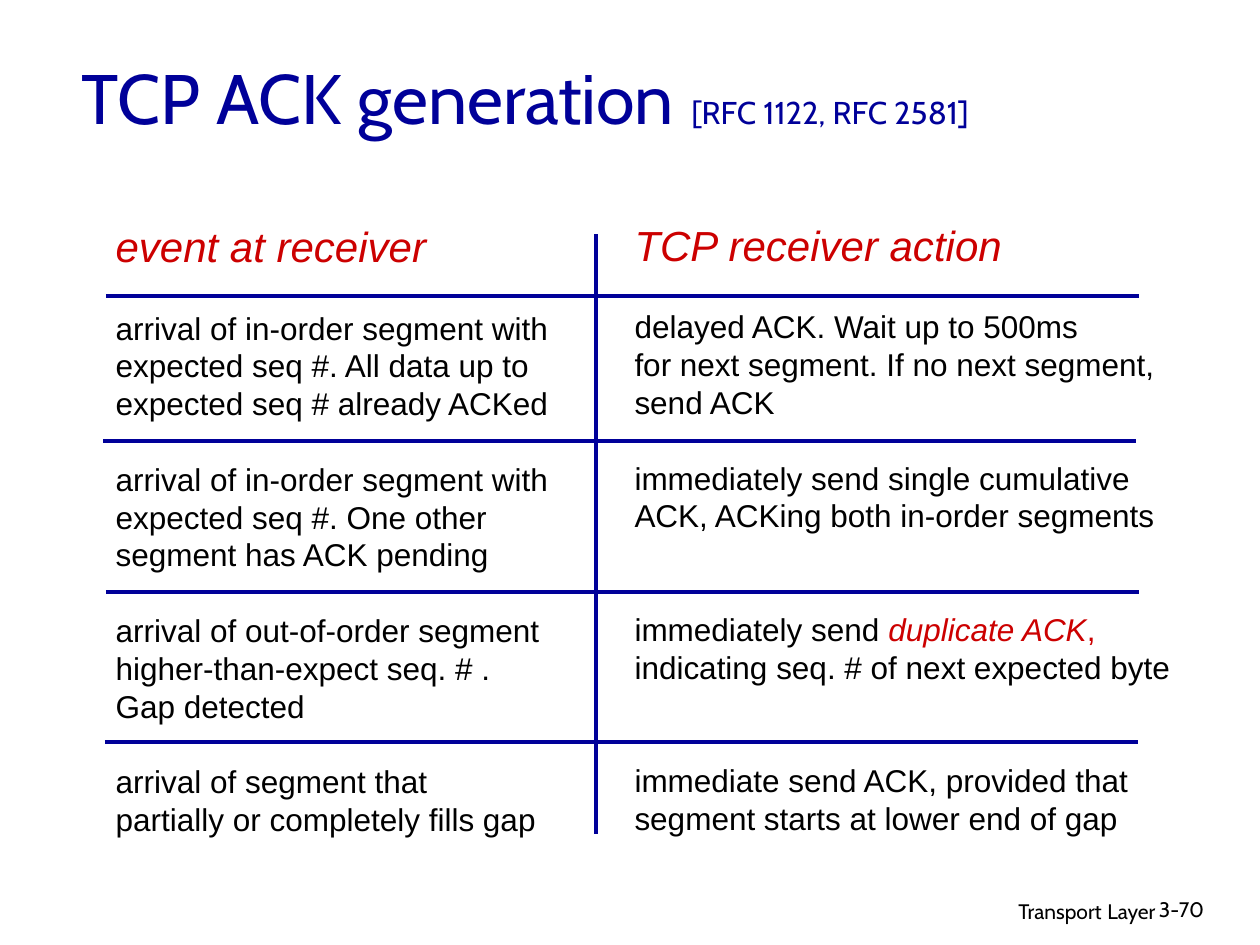
from pptx import Presentation
from pptx.dml.color import RGBColor as RGB
from pptx.enum.shapes import MSO_CONNECTOR as Conn
from pptx.enum.text import MSO_ANCHOR as Anchor, MSO_AUTO_SIZE as Fit, PP_ALIGN as Align
from pptx.oxml.ns import qn
from pptx.util import Pt
from lxml import etree

NAVY = RGB(0, 0, 0x99)
RED = RGB(0xCC, 0, 0)
BLACK = RGB(0, 0, 0)
SANS = "Arial"
CABIN = "Cabin"
HEAD, BODY = 24, 18
LEAD = 1.2
SLOT = 4

EVENTS = [
    ["arrival of in-order segment with", "expected seq #. All data up to",
     "expected seq # already ACKed"],
    ["arrival of in-order segment with", "expected seq #. One other",
     "segment has ACK pending"],
    ["arrival of out-of-order segment", "higher-than-expect seq. # .",
     "Gap detected"],
    ["arrival of segment that", "partially or completely fills gap"],
]
ACTIONS = [
    ["delayed ACK. Wait up to 500ms", "for next segment. If no next segment,",
     "send ACK"],
    ["immediately send single cumulative", "ACK, ACKing both in-order segments"],
    [[("immediately send ", BLACK, False), ("duplicate ACK", RED, True),
      (",", RED, False)],
     "indicating seq. # of next expected byte"],
    ["immediate send ACK, provided that", "segment starts at lower end of gap"],
]


def add_run(para, text, size, font, color, slant=False):
    run = para.add_run()
    run.text = text
    run.font.size = Pt(size)
    run.font.name = font
    run.font.color.rgb = color
    run.font.italic = slant


def add_title(slide):
    title = slide.shapes.title
    title.left, title.top, title.width, title.height = Pt(39.6), Pt(27.4), Pt(612), Pt(52.6)
    frame = title.text_frame
    frame.auto_size = Fit.NONE
    frame.word_wrap = True
    frame.vertical_anchor = Anchor.MIDDLE
    para = frame.paragraphs[0]
    para.alignment = Align.LEFT
    add_run(para, "TCP ACK generation", 40, CABIN, NAVY)
    add_run(para, " ", 44, CABIN, NAVY)
    add_run(para, "[RFC 1122, RFC 2581]", 18, CABIN, NAVY)


def add_box(slide, left, top, width, height, wrap=True):
    frame = slide.shapes.add_textbox(Pt(left), Pt(top), Pt(width), Pt(height)).text_frame
    frame.word_wrap = wrap
    return frame


def add_column(slide, left, top, width, head, blocks):
    frame = add_box(slide, left, top, width, 393.8, False)
    para = frame.paragraphs[0]
    para.line_spacing = Pt(HEAD * LEAD)
    add_run(para, head, HEAD, SANS, RED, True)
    blanks = 1
    for block in blocks:
        for pos, line in enumerate(block):
            para = frame.add_paragraph()
            para.line_spacing = Pt(BODY * LEAD)
            if pos == 0:
                para.space_before = Pt(blanks * BODY * LEAD)
            parts = [(line, BLACK, False)] if isinstance(line, str) else line
            for text, color, slant in parts:
                add_run(para, text, BODY, SANS, color, slant)
        blanks = SLOT - len(block)


def add_rule(slide, x1, y1, x2, y2):
    rule = slide.shapes.add_connector(Conn.STRAIGHT, Pt(x1), Pt(y1), Pt(x2), Pt(y2))
    rule.line.color.rgb = NAVY
    rule.line.width = Pt(2.25)
    etree.SubElement(rule._element.spPr, qn("a:effectLst"))


def add_foot(slide):
    para = add_box(slide, 439.2, 507.6, 228.2, 22.3).paragraphs[0]
    para.alignment = Align.RIGHT
    for text, size in [("Transport", 12), (" ", 14), ("Layer", 12)]:
        add_run(para, text, size, CABIN, BLACK)
    para = add_box(slide, 655.2, 509, 53.3, 21.6).paragraphs[0]
    add_run(para, "3-70", 12, CABIN, BLACK)


def main():
    deck = Presentation()
    deck.slide_width, deck.slide_height = Pt(720), Pt(540)
    slide = deck.slides.add_slide(deck.slide_layouts[5])
    add_title(slide)
    add_column(slide, 59, 122.4, 262.8, "event at receiver", EVENTS)
    add_column(slide, 355.5, 121.7, 320.4, "TCP receiver action", ACTIONS)
    add_rule(slide, 340.6, 134, 340.6, 476.6)
    for left, top in [(60.5, 169.2), (59, 252), (60.5, 338.4), (60, 424)]:
        add_rule(slide, left, top, left + 590.4, top)
    add_foot(slide)
    deck.save("out.pptx")


if __name__ == "__main__":
    main()
